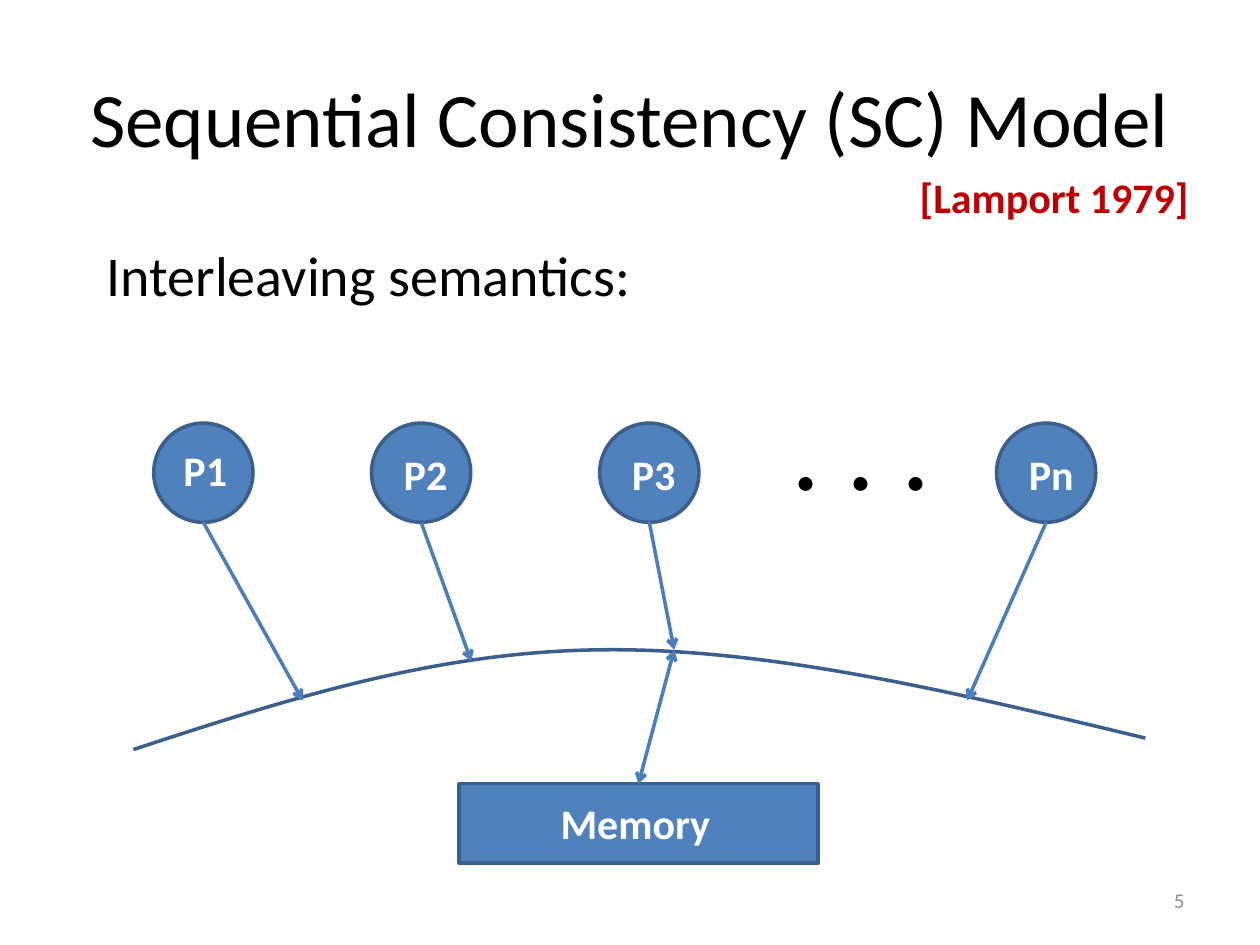
from dataclasses import dataclass

from lxml.etree import SubElement
from pptx import Presentation
from pptx.dml.color import RGBColor
from pptx.enum.shapes import MSO_CONNECTOR as CONN, MSO_SHAPE as SHAPE
from pptx.enum.text import MSO_ANCHOR as ANCHOR, PP_ALIGN as ALIGN
from pptx.oxml.ns import qn
from pptx.util import Cm, Pt


@dataclass(frozen=True)
class Theme:
    font: str = "Calibri"
    black: str = "000000"
    white: str = "FFFFFF"
    red: str = "C00000"
    gray: str = "8C8C8C"
    fill: str = "4F81BD"
    outline: str = "3A5F8C"
    arrow: str = "4B7EBC"
    line_width: float = 2
    title_size: int = 44
    body_size: int = 32
    label_size: int = 24
    dots_size: int = 66
    number_size: int = 12


class SlideBuilder:
    def __init__(self, slide, theme):
        self.slide = slide
        self.shapes = slide.shapes
        self.theme = theme

    def _write(self, sp, text, size, color, bold=False, align=ALIGN.LEFT):
        p = sp.text_frame.paragraphs[0]
        p.text = text
        p.alignment = align
        p.font.name = self.theme.font
        p.font.size = Pt(size)
        p.font.bold = bold
        p.font.color.rgb = RGBColor.from_string(color)

    def _stroke(self, sp, color):
        sp.line.color.rgb = RGBColor.from_string(color)
        sp.line.width = Pt(self.theme.line_width)

    def title(self, text, x, y, w, h):
        sp = self.shapes.title
        sp.left, sp.top, sp.width, sp.height = map(Cm, (x, y, w, h))
        sp.text_frame.vertical_anchor = ANCHOR.MIDDLE
        self._write(sp, text, self.theme.title_size, self.theme.black, align=ALIGN.CENTER)

    def text(self, text, x, y, w, h, size, color, bold=False,
             align=ALIGN.LEFT, anchor=ANCHOR.TOP):
        sp = self.shapes.add_textbox(*map(Cm, (x, y, w, h)))
        tf = sp.text_frame
        tf.word_wrap = True
        tf.vertical_anchor = anchor
        self._write(sp, text, size, color, bold, align)

    def label(self, text, x, y, w, color):
        self.text(text, x, y, w, 1.27, self.theme.label_size, color, bold=True)

    def box(self, kind, x, y, w, h):
        sp = self.shapes.add_shape(kind, *map(Cm, (x, y, w, h)))
        sp.shadow.inherit = False
        sp.fill.solid()
        sp.fill.fore_color.rgb = RGBColor.from_string(self.theme.fill)
        self._stroke(sp, self.theme.outline)

    def arrow(self, start, end, both=False):
        line = self.shapes.add_connector(CONN.STRAIGHT, *map(Cm, (*start, *end)))
        self._stroke(line, self.theme.arrow)
        ln = line.line._get_or_add_ln()
        for tag in ("a:headEnd", "a:tailEnd") if both else ("a:tailEnd",):
            SubElement(ln, qn(tag), type="arrow")
        SubElement(line._element.spPr, qn("a:effectLst"))

    def curve(self, points):
        start, *rest = [(Cm(x), Cm(y)) for x, y in points]
        builder = self.shapes.build_freeform(*start)
        builder.add_line_segments(rest, close=False)
        sp = builder.convert_to_shape()
        sp.shadow.inherit = False
        sp.fill.background()
        self._stroke(sp, self.theme.outline)
        outline = next(sp._element.iter(qn("a:path")))
        segments = outline.findall(qn("a:lnTo"))
        for i in range(0, len(segments), 3):
            bezier = SubElement(outline, qn("a:cubicBezTo"))
            for segment in segments[i:i + 3]:
                bezier.append(segment[0])
                outline.remove(segment)


def main():
    theme = Theme()
    prs = Presentation()
    prs.slide_width, prs.slide_height = Cm(25.4), Cm(19.05)
    s = SlideBuilder(prs.slides.add_slide(prs.slide_layouts[5]), theme)

    s.title("Sequential Consistency (SC) Model", 1.27, 0.76, 22.86, 3.18)
    s.label("[Lamport 1979]", 18.29, 3.33, 6.4, theme.red)
    s.text("Interleaving semantics:", 1.9, 4.72, 14.6, 1.63, theme.body_size, theme.black)

    s.curve([(2.69, 15.11), (5.72, 14.12), (8.74, 13.13), (12.14, 13.1),
             (15.54, 13.06), (19.3, 13.97), (23.09, 14.88)])

    top, diameter = 8.53, 2
    access = (13.59, 13.1)
    processors = [
        ("P1", 3.1, 0.35, 0.3, (6.1, 14.12)),
        ("P2", 7.49, 0.4, 0.38, (9.5, 13.33)),
        ("P3", 12.09, 0.4, 0.38, access),
        ("Pn", 20.09, 0.4, 0.38, (19.5, 14.12)),
    ]
    for name, x, dx, dy, target in processors:
        s.box(SHAPE.OVAL, x, top, diameter, diameter)
        s.label(name, x + dx, top + dy, 1.8, theme.white)
        s.arrow((x + diameter / 2, top + diameter), target)
    s.text(". . .", 15.7, 7.44, 3.4, 3.07, theme.dots_size, theme.black)

    s.box(SHAPE.RECTANGLE, 9.25, 15.8, 7.24, 1.6)
    s.label("Memory", 11.05, 15.95, 3.81, theme.white)
    s.arrow((12.87, 15.8), access, both=True)

    s.text("5", 18.2, 17.65, 5.93, 1.01, theme.number_size, theme.gray,
           align=ALIGN.RIGHT, anchor=ANCHOR.MIDDLE)
    prs.save("out.pptx")


if __name__ == "__main__":
    main()
